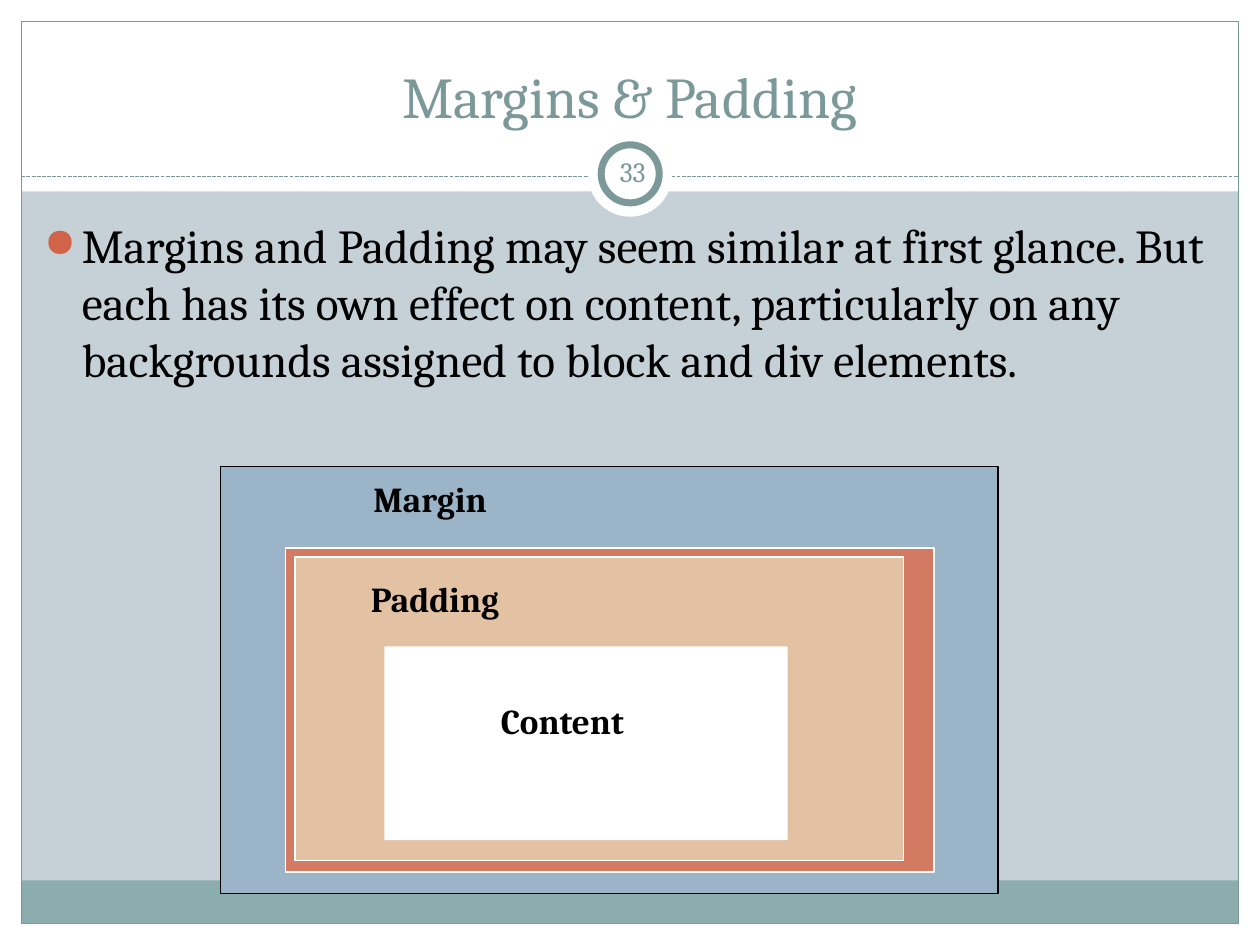
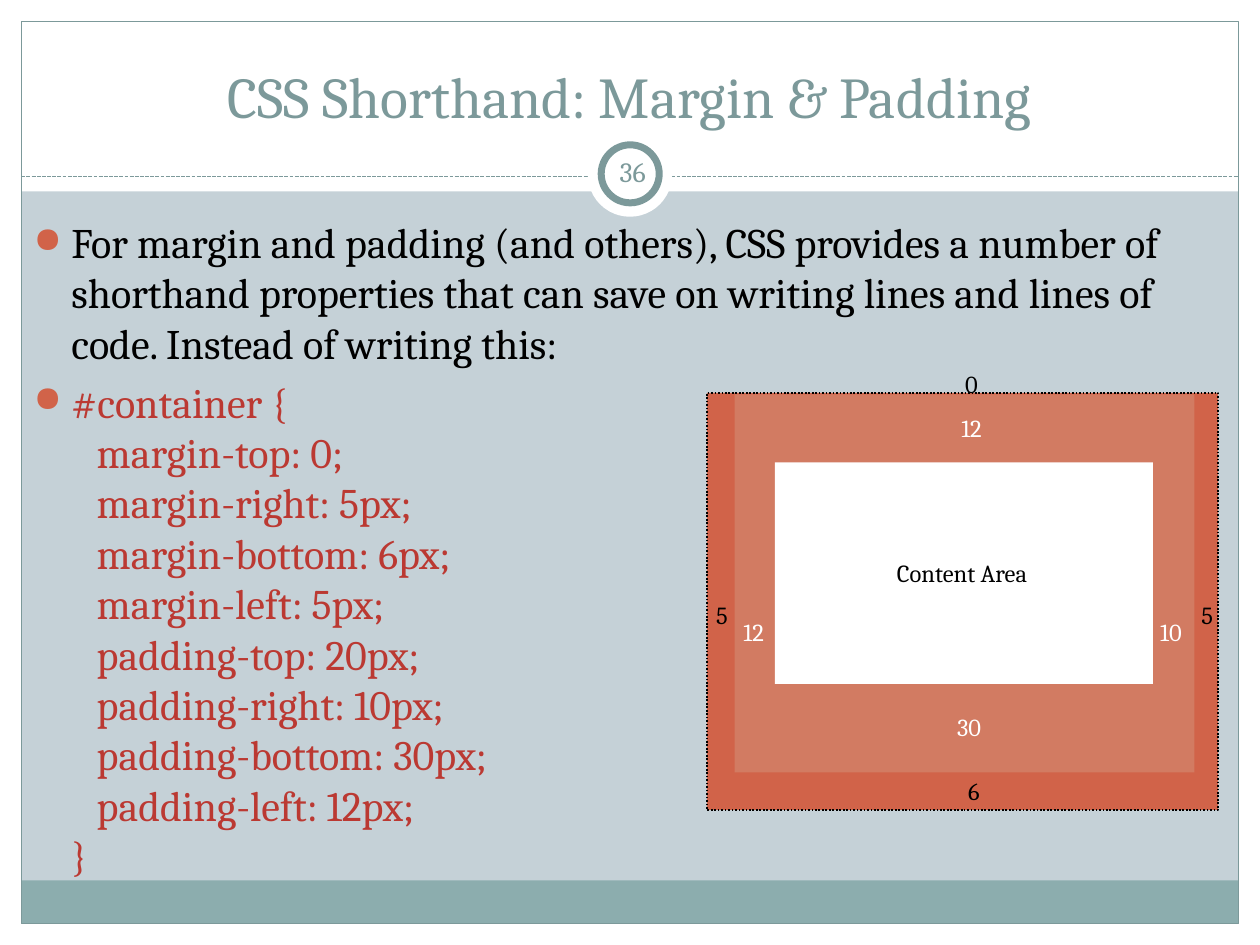
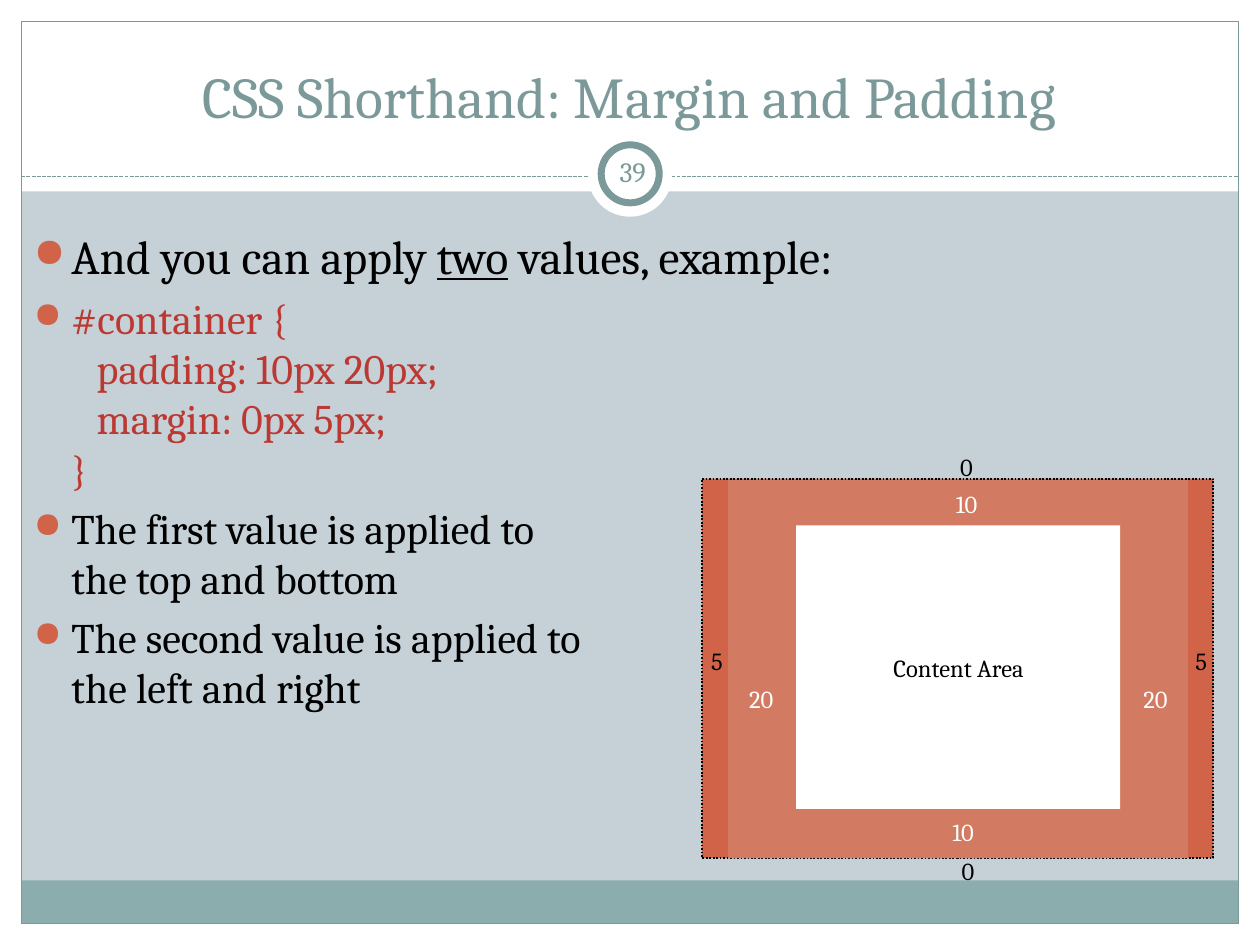
from dataclasses import dataclass
from pptx import Presentation
from pptx.dml.color import RGBColor
from pptx.enum.dml import MSO_LINE
from pptx.enum.shapes import MSO_CONNECTOR, MSO_SHAPE
from pptx.enum.text import MSO_ANCHOR, MSO_AUTO_SIZE, PP_ALIGN
from pptx.oxml.ns import qn
from pptx.util import Cm, Pt
from lxml.etree import SubElement


@dataclass(frozen=True)
class Theme:
    font: str = "Cambria"
    back: str = "C5D1D7"
    white: str = "FFFFFF"
    black: str = "000000"
    teal: str = "7C999A"
    band: str = "8CADAE"
    rust: str = "D16349"
    coral: str = "D27B62"
    sand: str = "E3C2A3"
    blue: str = "9CB4C8"
    code: str = "BB3932"
    title: int = 33
    large: int = 27
    text: int = 24
    label: int = 20
    number: int = 16
    mark: int = 14


T = Theme()
WIDE, HIGH = 25.4, 19.05
EDGE = 0.43


def rgb(tone):
    return RGBColor.from_string(tone)


def place(box):
    return [Cm(part) for part in box]


def inset(box, part):
    return (box[0] + part[0], box[1] + part[1], part[2], part[3])


def draw(slide, box, fill=None, line=None, width=0.75, dash=None, kind=MSO_SHAPE.RECTANGLE):
    shape = slide.shapes.add_shape(kind, *place(box))
    shape.shadow.inherit = False
    if fill:
        shape.fill.solid()
        shape.fill.fore_color.rgb = rgb(fill)
    else:
        shape.fill.background()
    if line:
        shape.line.color.rgb = rgb(line)
        shape.line.width = Pt(width)
        if dash:
            shape.line.dash_style = dash
    else:
        shape.line.fill.background()


def rule(slide, left, right, top):
    line = slide.shapes.add_connector(
        MSO_CONNECTOR.STRAIGHT, Cm(left), Cm(top), Cm(right), Cm(top))
    line.line.color.rgb = rgb(T.teal)
    line.line.width = Pt(0.75)
    line.line.dash_style = MSO_LINE.SQUARE_DOT
    props = line._element.find(qn("p:spPr"))
    SubElement(props, qn("a:effectLst"))


def frame(slide, box, anchor=MSO_ANCHOR.TOP):
    text = slide.shapes.add_textbox(*place(box)).text_frame
    text.word_wrap = True
    text.vertical_anchor = anchor
    return text


def write(para, words, size, tone, bold=False, under=False):
    for count, line in enumerate(words.split("\n")):
        if count:
            para.add_line_break()
        run = para.add_run()
        run.text = line
        run.font.name = T.font
        run.font.size = Pt(size)
        run.font.color.rgb = rgb(tone)
        run.font.bold = bold
        run.font.underline = under


def center(slide, box, words, size, tone, bold=False, anchor=MSO_ANCHOR.TOP):
    text = frame(slide, box, anchor)
    para = text.paragraphs[0]
    para.alignment = PP_ALIGN.CENTER
    write(para, words, size, tone, bold)
    return text


def bullet(para):
    props = para._p.get_or_add_pPr()
    props.set("marL", str(Cm(0.76)))
    props.set("indent", str(Cm(-0.76)))
    tint = SubElement(props, qn("a:buClr"))
    SubElement(tint, qn("a:srgbClr"), val=T.rust)
    SubElement(props, qn("a:buSzPct"), val="85000")
    SubElement(props, qn("a:buChar"), char="●")


def body(slide, box, items):
    text = frame(slide, box)
    for count, runs in enumerate(items):
        para = text.add_paragraph() if count else text.paragraphs[0]
        para.space_before = Pt(runs[0][1] * 0.2)
        bullet(para)
        for run in runs:
            write(para, *run)


def base(deck, title, number):
    slide = deck.slides.add_slide(deck.slide_layouts[6])
    slide.background.fill.solid()
    slide.background.fill.fore_color.rgb = rgb(T.back)
    span = WIDE - 2 * EDGE
    foot = HIGH - EDGE
    for box in [(0, foot, WIDE, EDGE), (0, 0, WIDE, 3.86),
                (0, 0, EDGE, HIGH), (WIDE - EDGE, 0, EDGE, HIGH)]:
        draw(slide, box, T.white)
    draw(slide, (EDGE, foot - 0.87, span, 0.87), T.band)
    draw(slide, (EDGE, EDGE, span, HIGH - 2 * EDGE), line=T.teal)
    rule(slide, EDGE, WIDE - EDGE, 3.56)
    draw(slide, (11.85, 2.67, 1.7, 1.7), T.white, kind=MSO_SHAPE.OVAL)
    draw(slide, (12.12, 2.92, 1.17, 1.17), T.white, T.teal, 4, kind=MSO_SHAPE.OVAL)
    center(slide, (0.84, 0.64, 23.7, 2.11), title, T.title, T.teal, anchor=MSO_ANCHOR.BOTTOM)
    text = center(slide, (12.12, 2.84, 1.27, 1.22), number, T.number, T.teal,
                  anchor=MSO_ANCHOR.MIDDLE)
    text.margin_left = text.margin_right = Cm(0.13)
    return slide


def label(slide, box, words, size, tone, bold=False):
    text = center(slide, box, words, size, tone, bold)
    text.auto_size = MSO_AUTO_SIZE.SHAPE_TO_FIT_TEXT


def nest(slide, box):
    draw(slide, box, T.blue, T.black)
    draw(slide, inset(box, (1.3, 1.65, 13.08, 6.53)), T.coral, T.white)
    draw(slide, inset(box, (1.5, 1.83, 12.27, 6.12)), T.sand, T.white)
    draw(slide, inset(box, (3.3, 3.63, 8.13, 3.91)), T.white)
    for words, left, top in [("Content", 4.45, 4.57), ("Padding", 1.88, 2.11),
                             ("Margin", 1.78, 0.1)]:
        label(slide, inset(box, (left, top, 4.88, 1.09)), words, T.label, T.black, True)


def model(slide, box, pad, core, name, outer, inner):
    draw(slide, box, T.rust, T.black, 1, MSO_LINE.ROUND_DOT)
    draw(slide, inset(box, pad), T.coral)
    draw(slide, inset(box, core), T.white)
    label(slide, inset(box, (name[0] - 2.98, name[1] - 0.42, 5.97, 0.84)),
          "Content Area", T.mark, T.black)
    for marks, tone in [(outer, T.black), (inner, T.white)]:
        for words, mid, row in marks:
            label(slide, inset(box, (mid - 1.19, row - 0.42, 2.39, 0.84)),
                  words, T.mark, tone)


def intro(deck):
    slide = base(deck, "Margins & Padding", "33")
    body(slide, (0.64, 4.24, 23.93, 5.08), [[(
        "Margins and Padding may seem similar at first glance. But each has its own "
        "effect on content, particularly on any backgrounds assigned to block and div "
        "elements.", T.large, T.black)]])
    nest(slide, (4.45, 9.4, 15.67, 8.61))


def long(deck):
    slide = base(deck, "CSS Shorthand: Margin & Padding", "36")
    body(slide, (0.43, 4.24, 24.13, 13.72), [
        [("For margin and padding (and others), CSS provides a number of shorthand "
          "properties that can save on writing lines and lines of code. Instead of "
          "writing this:", T.text, T.black)],
        [("#container {\n\tmargin-top: 0;\n\tmargin-right: 5px;\n\tmargin-bottom: 6px;\n"
          "\tmargin-left: 5px;\n\tpadding-top: 20px;\n\tpadding-right: 10px;\n"
          "\tpadding-bottom: 30px;\n\tpadding-left: 12px;\n}", T.text, T.code)]])
    model(slide, (14.25, 7.92, 10.31, 8.41), (0.56, 0.03, 9.27, 7.62),
          (1.37, 1.4, 7.62, 4.47), (5.14, 3.62),
          [("6", 5.38, 8.01), ("5", 0.3, 4.48), ("5", 10.08, 4.48), ("0", 5.33, -0.19)],
          [("12", 0.94, 4.81), ("10", 9.35, 4.81), ("30", 5.28, 6.72), ("12", 5.33, 0.7)])


def short(deck):
    slide = base(deck, "CSS Shorthand: Margin and Padding", "39")
    body(slide, (0.43, 4.45, 24.56, 12.01), [
        [("And you can apply ", T.large, T.black),
         ("two", T.large, T.black, False, True),
         (" values, example:", T.large, T.black)],
        [("#container {\n\tpadding: 10px 20px;\n\tmargin: 0px 5px;\n}", T.text, T.code)],
        [("The first value is applied to\nthe top and bottom", T.text, T.black)],
        [("The second value is applied to\nthe left and right", T.text, T.black)]])
    model(slide, (14.15, 9.65, 10.31, 7.65), (0.53, 0.03, 9.27, 7.62),
          (1.9, 0.94, 6.53, 5.72), (5.17, 3.8),
          [("0", 5.36, 7.91), ("5", 0.3, 3.67), ("5", 10.06, 3.67), ("0", 5.33, -0.24)],
          [("20", 1.19, 4.43), ("20", 9.14, 4.43), ("10", 5.26, 7.12), ("10", 5.33, 0.5)])


def main():
    deck = Presentation()
    deck.slide_width, deck.slide_height = Cm(WIDE), Cm(HIGH)
    for build in (intro, long, short):
        build(deck)
    deck.save("out.pptx")


if __name__ == "__main__":
    main()
